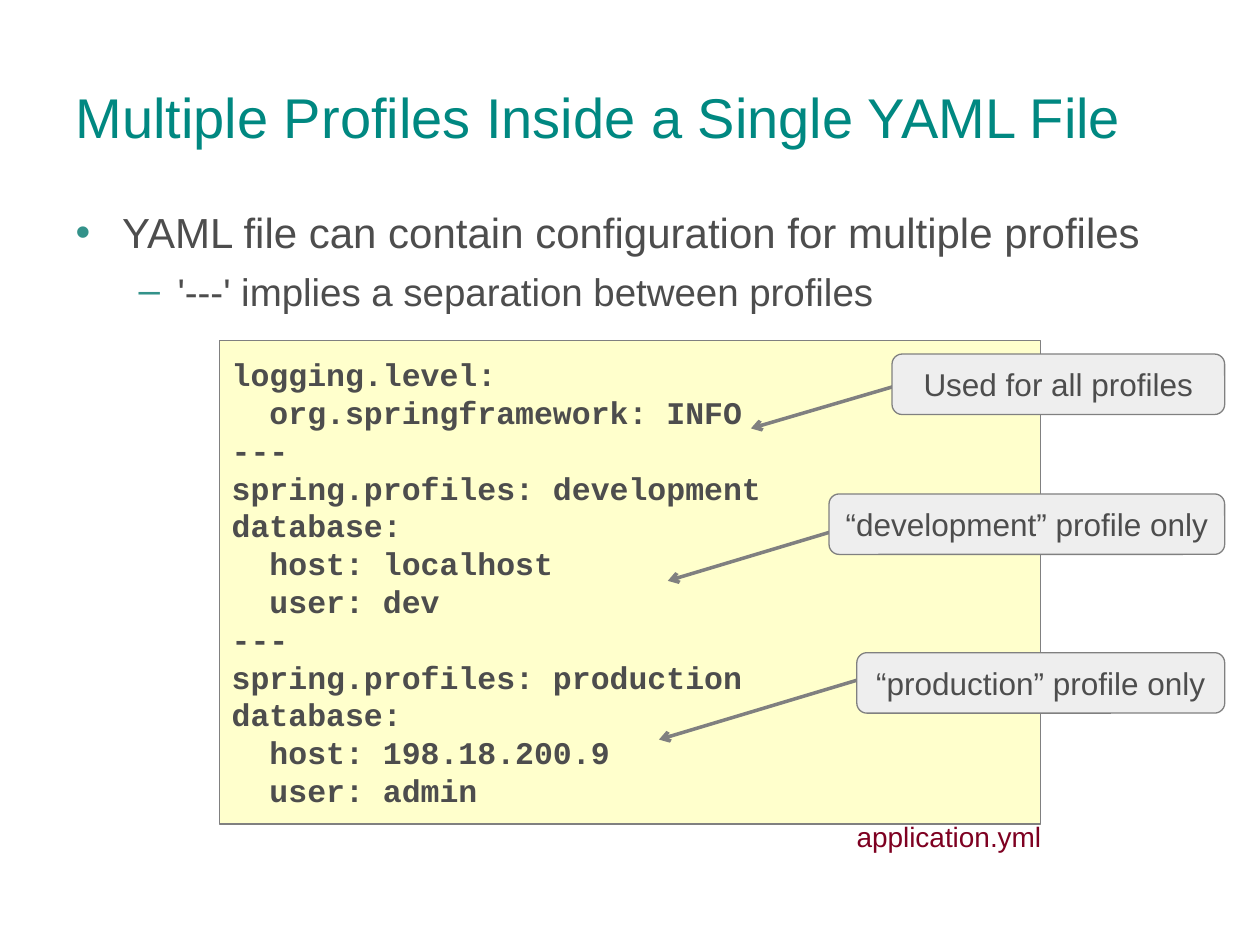
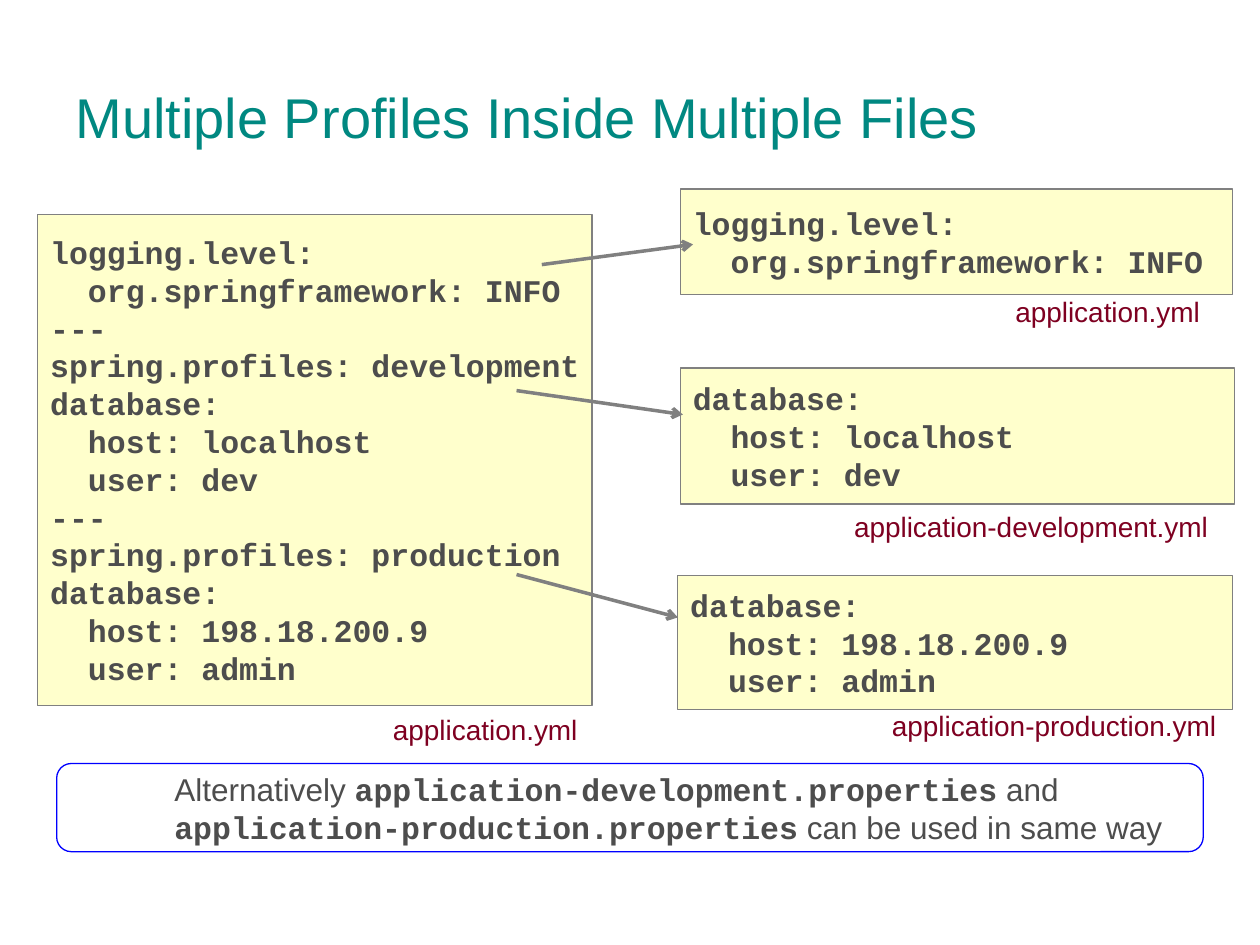
"""Build two slides on keeping several profiles in YAML files."""
from dataclasses import dataclass

from lxml import etree
from pptx import Presentation
from pptx import util as u
from pptx.dml.color import RGBColor
from pptx.enum import shapes, text
from pptx.oxml import ns


@dataclass(frozen=True)
class Theme:
    sans: str = "Arial"
    mono: str = "Courier New"
    title: str = "008881"
    body: str = "4D4D4D"
    bullet: str = "33928A"
    file_name: str = "7E0021"
    border: str = "808080"
    code_fill: str = "FFFFCC"
    callout_fill: str = "EEEEEE"
    note_fill: str = "FFFFFF"
    note_border: str = "0000FF"
    title_size: int = 32
    list_sizes: tuple = (24, 22)
    text_size: int = 18
    file_name_size: int = 16


class Deck:
    TITLE_AND_BODY, TITLE_ONLY = 1, 5

    def __init__(self, theme):
        self.theme = theme
        self.presentation = Presentation()
        self.presentation.slide_width = u.Inches(10)
        self.presentation.slide_height = u.Inches(7.5)
        self.slide = None

    def add_slide(self, title, layout):
        self.slide = self.presentation.slides.add_slide(self.presentation.slide_layouts[layout])
        shape = self.slide.shapes.title
        self.place(shape, 0.5, 0.3, 9, 1.25)
        shape.text_frame.text = title
        self.format(shape.text_frame, self.theme.title_size, self.theme.title)

    def place(self, shape, left, top, width, height):
        shape.left, shape.top = u.Inches(left), u.Inches(top)
        shape.width, shape.height = u.Inches(width), u.Inches(height)

    def style(self, paragraph, size, color, name=None, bold=False):
        font = paragraph.font
        font.size, font.bold, font.name = u.Pt(size), bold, name or self.theme.sans
        font.color.rgb = RGBColor.from_string(color)

    def format(self, frame, size, color, name=None, bold=False, align=text.PP_ALIGN.LEFT):
        frame.word_wrap = True
        frame.auto_size = text.MSO_AUTO_SIZE.NONE
        frame.vertical_anchor = text.MSO_ANCHOR.MIDDLE
        for paragraph in frame.paragraphs:
            paragraph.alignment = align
            self.style(paragraph, size, color, name, bold)

    def bullets(self, items):
        shape = self.slide.placeholders[1]
        self.place(shape, 0.5, 1.59, 9, 4.77)
        frame = shape.text_frame
        frame.text = "\n".join(items)
        frame.auto_size = text.MSO_AUTO_SIZE.NONE
        indents = ((0.37, -0.37), (0.81, -0.31))
        for level, paragraph in enumerate(frame.paragraphs):
            paragraph.level = level
            paragraph.space_before = u.Pt(6)
            properties = paragraph._p.get_or_add_pPr()
            margin, indent = indents[level]
            properties.set("marL", str(u.Inches(margin)))
            properties.set("indent", str(u.Inches(indent)))
            color = etree.SubElement(properties, ns.qn("a:buClr"))
            etree.SubElement(color, ns.qn("a:srgbClr"), val=self.theme.bullet)
            self.style(paragraph, self.theme.list_sizes[level], self.theme.body)

    def box(self, kind, left, top, width, height, fill, border):
        shape = self.slide.shapes.add_shape(
            kind, u.Inches(left), u.Inches(top), u.Inches(width), u.Inches(height))
        shape.shadow.inherit = False
        shape.fill.solid()
        shape.fill.fore_color.rgb = RGBColor.from_string(fill)
        self.outline(shape.line, border)
        return shape

    def outline(self, line, color):
        line.color.rgb = RGBColor.from_string(color)
        line.width = u.Pt(0)

    def code(self, left, top, width, height, lines):
        shape = self.box(shapes.MSO_SHAPE.RECTANGLE, left, top, width, height,
                         self.theme.code_fill, self.theme.border)
        frame = shape.text_frame
        frame.margin_right = 0
        frame.text = "\n".join(lines)
        self.format(frame, self.theme.text_size, self.theme.body, self.theme.mono, True)

    def file_name(self, left, top, width, name):
        shape = self.slide.shapes.add_textbox(
            u.Inches(left), u.Inches(top), u.Inches(width), u.Inches(0.36))
        shape.text_frame.text = name
        self.format(shape.text_frame, self.theme.file_name_size, self.theme.file_name)

    def arrow(self, start, end):
        connector = self.slide.shapes.add_connector(
            shapes.MSO_CONNECTOR.STRAIGHT, *map(u.Inches, (*start, *end)))
        self.outline(connector.line, self.theme.border)
        etree.SubElement(connector.line._get_or_add_ln(), ns.qn("a:tailEnd"), type="arrow")
        etree.SubElement(connector._element.spPr, ns.qn("a:effectLst"))

    def callout(self, left, top, caption):
        right = 9.72
        shape = self.box(shapes.MSO_SHAPE.ROUNDED_RECTANGLE, left, top, right - left, 0.48,
                         self.theme.callout_fill, self.theme.border)
        shape.text_frame.text = caption
        self.format(shape.text_frame, self.theme.text_size, self.theme.body,
                    align=text.PP_ALIGN.CENTER)

    def note(self, left, top, width, height, parts):
        shape = self.box(shapes.MSO_SHAPE.ROUNDED_RECTANGLE, left, top, width, height,
                         self.theme.note_fill, self.theme.note_border)
        frame = shape.text_frame
        frame.margin_left = u.Inches(0.9)
        paragraph = frame.paragraphs[0]
        for content, is_code in parts:
            run = paragraph.add_run()
            run.text = content
            run.font.name = self.theme.mono if is_code else self.theme.sans
            run.font.bold = is_code
        self.format(frame, self.theme.text_size, self.theme.body)


LOGGING = ["logging.level:", "  org.springframework: INFO"]
DEVELOPMENT = ["database:", "  host: localhost", "  user: dev"]
PRODUCTION = ["database:", "  host: 198.18.200.9", "  user: admin"]
SINGLE_FILE = [
    *LOGGING,
    "---", "spring.profiles: development", *DEVELOPMENT,
    "---", "spring.profiles: production", *PRODUCTION,
]


def single_file_slide(deck):
    deck.add_slide("Multiple Profiles Inside a Single YAML File", deck.TITLE_AND_BODY)
    deck.bullets(["YAML file can contain configuration for multiple profiles",
                  "'---' implies a separation between profiles"])
    deck.code(1.74, 2.7, 6.52, 3.84, SINGLE_FILE)
    deck.file_name(6.7, 6.46, 1.84, "application.yml")
    for start, end in (((7.46, 2.96), (5.96, 3.4)),
                       ((7.1, 4.07), (5.3, 4.61)),
                       ((7.03, 5.33), (5.23, 5.87))):
        deck.arrow(start, end)
    for left, top, caption in ((7.08, 2.81, "Used for all profiles"),
                               (6.58, 3.92, "“development” profile only"),
                               (6.8, 5.18, "“production” profile only")):
        deck.callout(left, top, caption)


def multiple_files_slide(deck):
    deck.add_slide("Multiple Profiles Inside Multiple Files", deck.TITLE_ONLY)
    deck.code(0.3, 1.7, 4.4, 3.9, SINGLE_FILE)
    deck.code(5.4, 1.5, 4.38, 0.84, LOGGING)
    deck.code(5.4, 2.92, 4.4, 1.08, DEVELOPMENT)
    deck.code(5.38, 4.57, 4.4, 1.06, PRODUCTION)
    for left, top, width, name in ((3.02, 5.61, 1.84, "application.yml"),
                                   (7.96, 2.29, 1.84, "application.yml"),
                                   (6.68, 4, 3.2, "application-development.yml"),
                                   (6.98, 5.58, 2.8, "application-production.yml")):
        deck.file_name(left, top, width, name)
    for start, end in (((4.3, 2.1), (5.5, 1.94)),
                       ((4.1, 3.1), (5.42, 3.29)),
                       ((4.1, 4.56), (5.38, 4.9))):
        deck.arrow(start, end)
    deck.note(0.45, 6.06, 9.1, 0.7, [
        ("Alternatively ", False),
        ("application-development.properties", True),
        (" and ", False),
        ("application-production.properties", True),
        (" can be used in same way", False),
    ])


deck = Deck(Theme())
single_file_slide(deck)
multiple_files_slide(deck)
deck.presentation.save("out.pptx")
